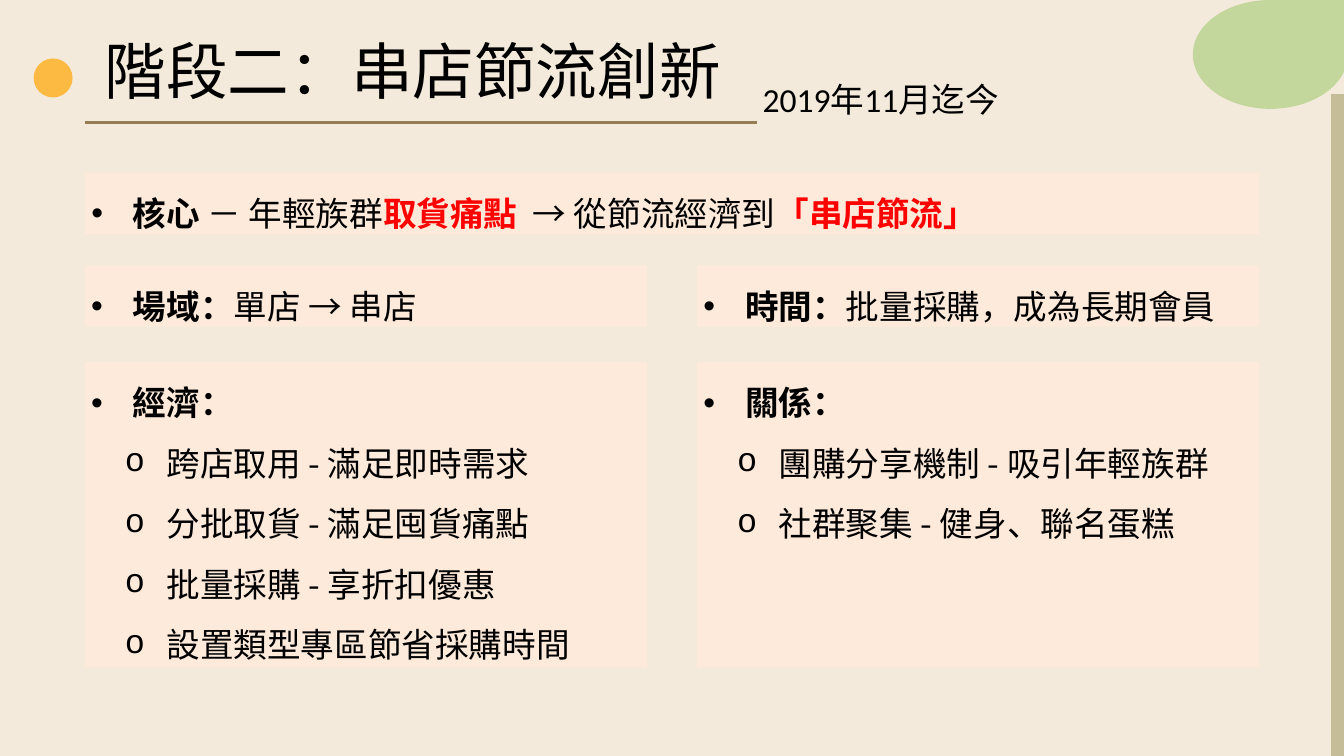
"""Build the slide on the second stage: chain-store saving innovation."""
from lxml import etree
from pptx import Presentation
from pptx.dml.color import RGBColor
from pptx.enum import shapes, text
from pptx.oxml import ns
from pptx.util import Inches, Pt

BLACK, RED, PANEL = "000000", "FF0000", "FDEADA"
TITLE = ("階段二：串店節流創新", 66, (1.46, 0.44, 17.3, 1.21))
DATE = ("2019年11月迄今", 36, (11.25, 1.12, 8.13, 0.71))
DECORATIONS = [
    (shapes.MSO_SHAPE.TEAR, (17.75, 0, 2.31, 1.62), "C3D69B"),
    (shapes.MSO_SHAPE.RECTANGLE, (19.81, 1.4, 0.19, 9.85), "C4BD97"),
]
DOT = (shapes.MSO_SHAPE.OVAL, (0.5, 0.87, 0.58, 0.58), "FCBA42")
LEFT, WIDTH, GAP = 1.26, 17.48, 0.74
COLUMN = (WIDTH - GAP) / 2
ROWS = [
    (2.57, 0.91, [
        ([("核心", True, BLACK), (" － 年輕族群", False, BLACK), ("取貨痛點 ", True, RED),
          ("\u00a0→ 從節流經濟到", False, BLACK), ("「串店節流」", True, RED)], []),
    ]),
    (3.95, 0.91, [
        ([("場域：", True, BLACK), ("單店 → 串店", False, BLACK)], []),
        ([("時間：", True, BLACK), ("批量採購，成為長期會員", False, BLACK)], []),
    ]),
    (5.39, 4.54, [
        ([("經濟：", True, BLACK)],
         ["跨店取用 - 滿足即時需求", "分批取貨 - 滿足囤貨痛點",
          "批量採購 - 享折扣優惠", "設置類型專區節省採購時間"]),
        ([("關係：", True, BLACK)],
         ["團購分享機制 - 吸引年輕族群", "社群聚集 - 健身、聯名蛋糕"]),
    ]),
]
BULLETS = [("•", "Arial", 0.62), ("o", "Courier New", 1.12)]


def color(value):
    return RGBColor.from_string(value)


def add_shape(parent, kind, box, fill):
    shape = parent.add_shape(kind, *map(Inches, box))
    shape.shadow.inherit = False
    shape.fill.solid()
    shape.fill.fore_color.rgb = color(fill)
    shape.line.fill.background()
    return shape


def style_run(run, size, font, fill, bold=False):
    run.font.size, run.font.name, run.font.bold = Pt(size), font, bold
    run.font.color.rgb = color(fill)


def add_label(parent, content, size, box):
    frame = parent.add_textbox(*map(Inches, box)).text_frame
    frame.word_wrap = True
    frame.text = content
    style_run(frame.paragraphs[0].runs[0], size, "Calibri", BLACK)


def add_bullet(paragraph, level):
    symbol, font, indent = BULLETS[level]
    paragraph.level = level
    paragraph.alignment = text.PP_ALIGN.JUSTIFY
    paragraph.line_spacing = 1.5
    properties = paragraph._p.get_or_add_pPr()
    properties.set("marL", str(Inches(indent)))
    properties.set("indent", str(Inches(-0.62)))
    etree.SubElement(properties, ns.qn("a:buFont"), typeface=font)
    etree.SubElement(properties, ns.qn("a:buChar"), char=symbol)


def add_panel(parent, box, heading, items):
    frame = add_shape(parent, shapes.MSO_SHAPE.RECTANGLE, box, PANEL).text_frame
    frame.word_wrap = True
    frame.vertical_anchor = text.MSO_ANCHOR.TOP
    frame.margin_top = frame.margin_bottom = 0
    lines = [heading] + [[(item, False, BLACK)] for item in items]
    for index, line in enumerate(lines):
        paragraph = frame.add_paragraph() if index else frame.paragraphs[0]
        add_bullet(paragraph, min(index, 1))
        for content, bold, fill in line:
            run = paragraph.add_run()
            run.text = content
            style_run(run, 36, "Noto Sans CJK TC", fill, bold)


def main():
    presentation = Presentation()
    presentation.slide_width, presentation.slide_height = Inches(20), Inches(11.25)
    slide = presentation.slides.add_slide(presentation.slide_layouts[6])
    slide.background.fill.solid()
    slide.background.fill.fore_color.rgb = color("F4EADB")

    for decoration in DECORATIONS:
        add_shape(slide.shapes, *decoration)
    heading_group = slide.shapes.add_group_shape()
    add_shape(heading_group.shapes, *DOT)
    add_label(heading_group.shapes, *TITLE)
    rule = slide.shapes.add_connector(
        shapes.MSO_CONNECTOR.STRAIGHT, *map(Inches, (LEFT, 1.82, 11.27, 1.82)))
    rule.line.color.rgb = color("967D55")
    rule.line.width = Pt(3)
    etree.SubElement(rule._element.spPr, ns.qn("a:effectLst"))
    add_label(slide.shapes, *DATE)

    for top, height, panels in ROWS:
        width = COLUMN if len(panels) > 1 else WIDTH
        for column, (heading, items) in enumerate(panels):
            left = LEFT + column * (COLUMN + GAP)
            add_panel(slide.shapes, (left, top, width, height), heading, items)
    presentation.save("out.pptx")


if __name__ == "__main__":
    main()
